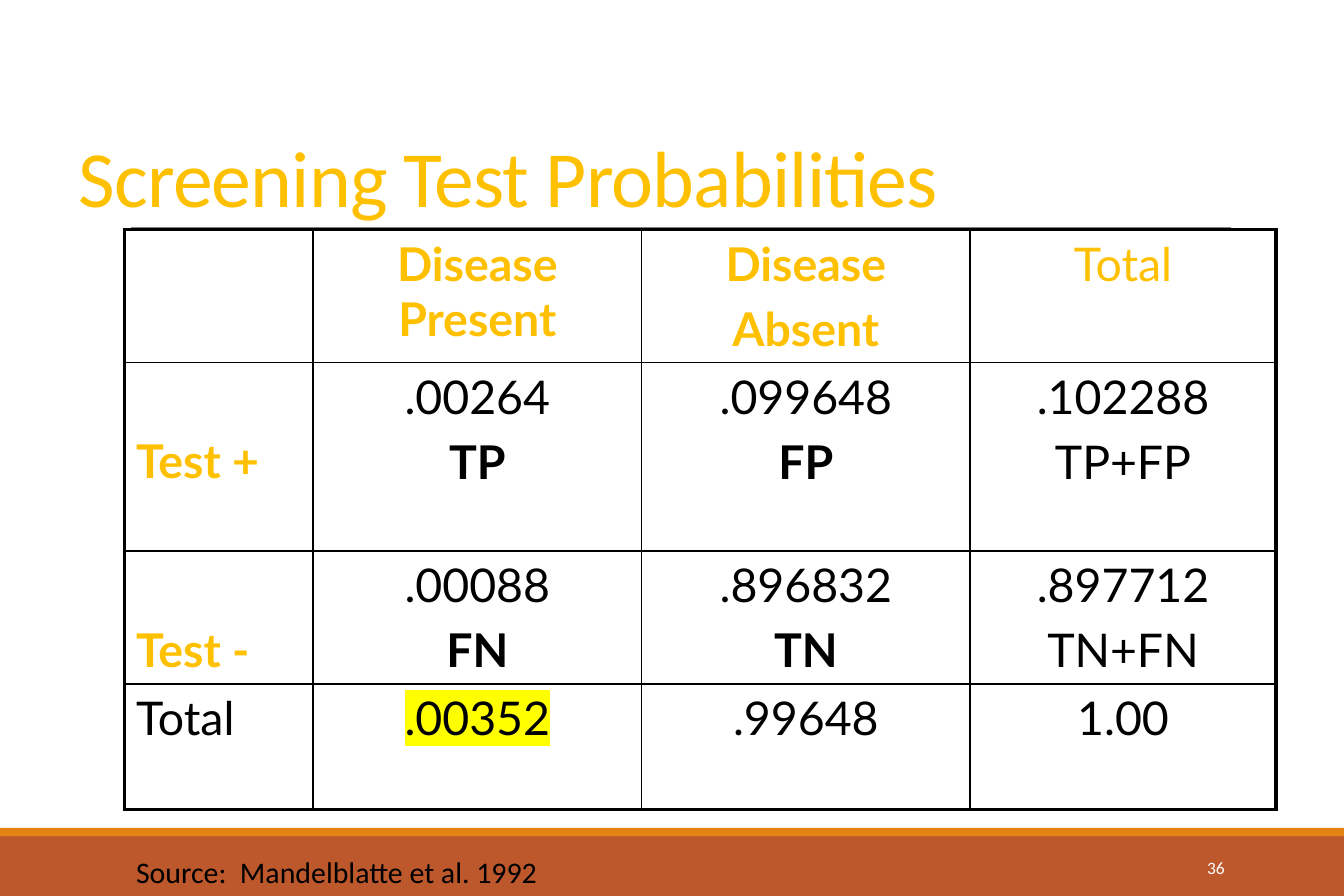
import pptx
import pptx.util
import pptx.dml.color
import pptx.enum.shapes
import pptx.enum.text
import pptx.oxml
import pptx.oxml.ns
import lxml.etree

Inches, Pt = pptx.util.Inches, pptx.util.Pt
ALIGN = pptx.enum.text.PP_ALIGN
ANCHOR = pptx.enum.text.MSO_ANCHOR
qn = pptx.oxml.ns.qn

COLORS = {"gold": "FFC000", "black": "000000", "white": "FFFFFF", "gray": "808080",
          "rust": "BD582C", "orange": "E48312", "yellow": "FFFF00"}
COLS = [1.58, 2.75, 2.75, 2.56]
ROWS = [1.11, 1.58, 1.11, 1.05]
HEAD = ["", "Disease Present", "Disease\nAbsent", "Total"]
BODY = [["Test +", ".00264\nTP", ".099648\nFP", ".102288\nTP+FP"],
        ["Test -", ".00088\nFN", ".896832\nTN", ".897712\nTN+FN"],
        ["Total", ".00352", ".99648", "1.00"]]


def rgb(name):
    return pptx.dml.color.RGBColor.from_string(COLORS[name])


def write(frame, text, size=28, font="Lato", color="black", bold=(False,),
          align=ALIGN.LEFT, before=0, lines=None, track=None, mark=None):
    """Write one paragraph per line of text; bold has a value per line, the last repeating."""
    for i, line in enumerate(text.split("\n")):
        para = frame.paragraphs[0] if i == 0 else frame.add_paragraph()
        para.alignment = align
        para.space_before = Pt(before)
        if lines:
            para.line_spacing = lines
        run = para.add_run()
        run.text = line
        run.font.size = Pt(size)
        run.font.name = font
        run.font.bold = bold[min(i, len(bold) - 1)]
        run.font.color.rgb = rgb(color)
        props = run.font._element
        if track:
            props.set("spc", str(int(track * 100)))
        if mark:
            light = lxml.etree.Element(qn("a:highlight"))
            lxml.etree.SubElement(light, qn("a:srgbClr"), val=COLORS[mark])
            props.find(qn("a:latin")).addprevious(light)


def label(slide, text, x, y, w, h, anchor=ANCHOR.TOP, **style):
    frame = slide.shapes.add_textbox(Inches(x), Inches(y), Inches(w), Inches(h)).text_frame
    frame.word_wrap = True
    frame.vertical_anchor = anchor
    write(frame, text, font="Calibri", **style)


def band(slide, y, h, color):
    shape = slide.shapes.add_shape(pptx.enum.shapes.MSO_SHAPE.RECTANGLE,
                                   0, Inches(y), Inches(11.25), Inches(h))
    shape.shadow.inherit = False
    shape.fill.solid()
    shape.fill.fore_color.rgb = rgb(color)
    shape.line.fill.background()


def rule(slide, x1, x2, y):
    line = slide.shapes.add_connector(pptx.enum.shapes.MSO_CONNECTOR.STRAIGHT,
                                      Inches(x1), Inches(y), Inches(x2), Inches(y))
    line.line.color.rgb = rgb("gray")
    line.line.width = Pt(0.5)
    lxml.etree.SubElement(line._element.spPr, qn("a:effectLst"))


def edge(cell, row, col):
    """Draw cell borders, thick on the outside of the table."""
    outer = {"L": col == 0, "R": col == len(COLS) - 1,
             "T": row == 0, "B": row == len(ROWS) - 1}
    props = cell._tc.get_or_add_tcPr()
    for side, thick in outer.items():
        line = lxml.etree.SubElement(props, qn("a:ln" + side),
                                     w=str(Pt(2.25 if thick else 1)))
        fill = lxml.etree.SubElement(line, qn("a:solidFill"))
        lxml.etree.SubElement(fill, qn("a:srgbClr"), val=COLORS["black"])
    cell.fill.background()


def look(row, col, text):
    """Choose the text format for a table cell."""
    test = text.startswith("Test")
    gold = row == 0 or test
    style = {"color": "gold" if gold else "black",
             "align": ALIGN.CENTER if col else ALIGN.LEFT,
             "before": 5.6}
    if gold:
        style["bold"] = (text != "Total",)
    elif col in (1, 2):
        style["bold"] = (False, True)
    if text == ".00352":
        style["mark"] = "yellow"
    return style


def grid(slide, x, y):
    table = slide.shapes.add_table(len(ROWS), len(COLS), Inches(x), Inches(y),
                                   Inches(sum(COLS)), Inches(sum(ROWS))).table
    table.first_row = table.horz_banding = False
    for col, width in enumerate(COLS):
        table.columns[col].width = Inches(width)
    for row, texts in enumerate([HEAD] + BODY):
        table.rows[row].height = Inches(ROWS[row])
        for col, text in enumerate(texts):
            cell = table.cell(row, col)
            edge(cell, row, col)
            if text.startswith("Test"):
                cell.margin_top = Inches(0.59)
            if text:
                write(cell.text_frame, text, **look(row, col, text))


def main():
    deck = pptx.Presentation()
    deck.slide_width, deck.slide_height = Inches(11.25), Inches(7.5)
    slide = deck.slides.add_slide(deck.slide_layouts[6])
    band(slide, 7, 0.5, "rust")
    band(slide, 6.93, 0.07, "orange")
    rule(slide, 1.1, 10.3, 1.9)
    label(slide, "Screening Test Probabilities", 0.56, 0.42, 10.12, 1.5, ANCHOR.BOTTOM,
          size=48, color="gold", lines=0.85, track=-0.5)
    grid(slide, 1.04, 1.92)
    label(slide, "36", 9.14, 7.06, 1.21, 0.4, ANCHOR.MIDDLE,
          size=10.5, color="white", align=ALIGN.RIGHT)
    label(slide, "Source:  Mandelblatte et al. 1992", 1.04, 7.1, 5.92, 0.4, size=18)
    deck.save("out.pptx")


if __name__ == "__main__":
    main()
